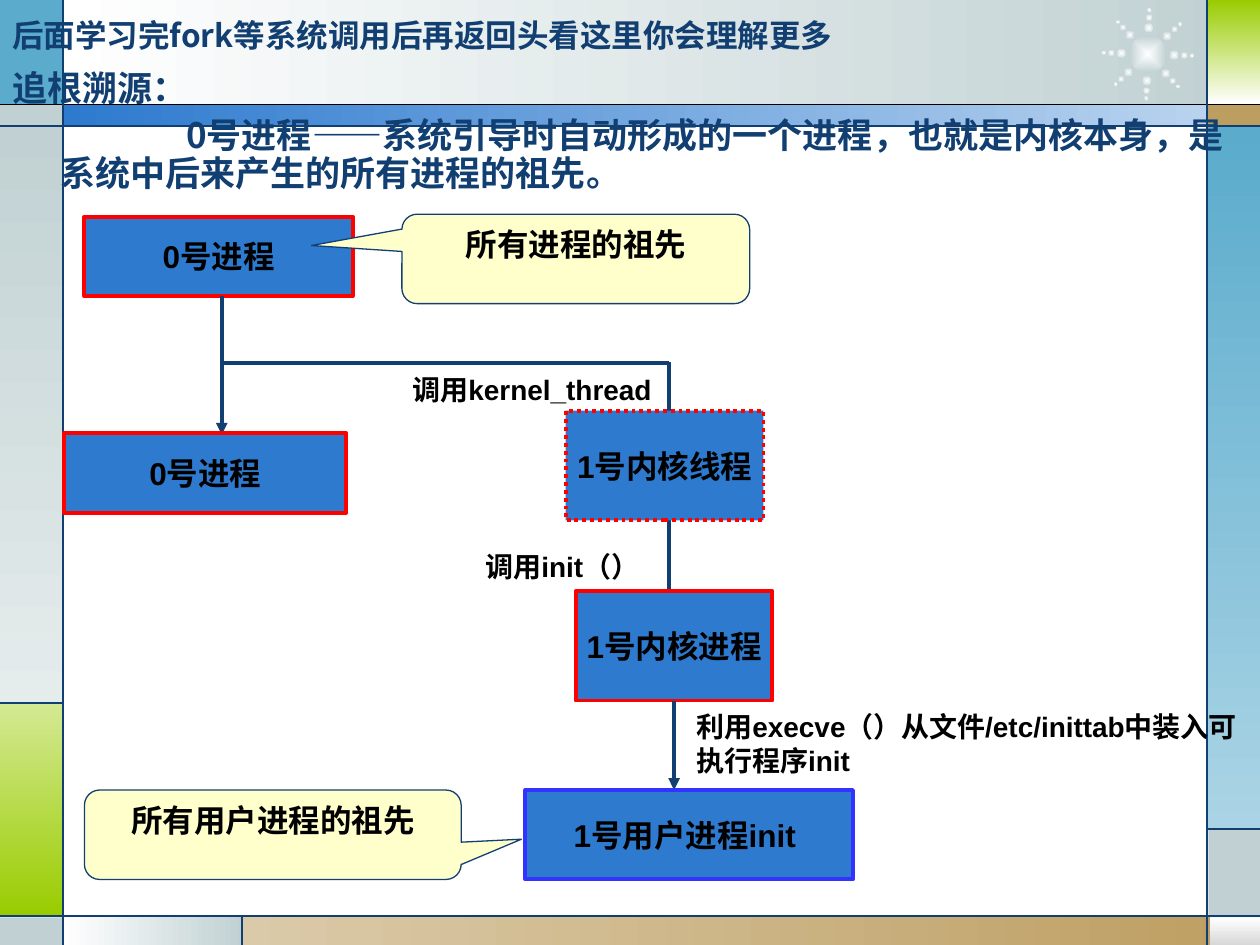
from math import cos, radians, sin

from lxml import etree
from pptx import Presentation
from pptx.dml.color import RGBColor
from pptx.enum.dml import MSO_LINE
from pptx.enum.shapes import MSO_CONNECTOR, MSO_SHAPE
from pptx.enum.text import MSO_ANCHOR, PP_ALIGN
from pptx.oxml.ns import qn
from pptx.util import Inches, Pt

RECT, OVAL = MSO_SHAPE.RECTANGLE, MSO_SHAPE.OVAL
CALLOUT = MSO_SHAPE.ROUNDED_RECTANGULAR_CALLOUT
STRAIGHT, DOTS = MSO_CONNECTOR.STRAIGHT, MSO_LINE.ROUND_DOT
TOP, MIDDLE = MSO_ANCHOR.TOP, MSO_ANCHOR.MIDDLE
LEFT, CENTER, RIGHT = PP_ALIGN.LEFT, PP_ALIGN.CENTER, PP_ALIGN.RIGHT
HAN = "Noto Sans CJK SC"
NAVY, BLUE, RED, GREY = "113F71", "2D7ACF", "FF0000", "C1D1D3"
BLACK, WHITE, CREAM, VIOLET = "000000", "FFFFFF", "FFFFCC", "3333FF"

PANELS = [
    ((0.5, 0, 9.27, 0.84), (WHITE, GREY, 0)),
    ((0, 0, 0.5, 0.84), "5AABCC"),
    ((0, 0.83, 0.5, 0.17), GREY),
    ((0, 1, 0.5, 4.58), (GREY, "E5ECEC", 90)),
    ((0, 5.58, 0.5, 1.69), ("D4E993", "99CC00", 90)),
    ((0, 7.28, 0.5, 0.22), GREY),
    ((0.5, 7.27, 1.43, 0.23), (WHITE, GREY, 0)),
    ((1.92, 7.27, 8.08, 0.23), ("DBCAA9", "BD9E61", 0)),
    ((9.6, 7.28, 0.4, 0.22), (WHITE, "D8D8D8", 90)),
    ((9.59, 6.58, 0.41, 0.7), GREY),
    ((9.58, 1, 0.42, 5.58), ("5AABCC", "AAD4E5", 90)),
    ((9.58, 0.83, 0.42, 0.17), "BD9E61"),
    ((9.59, 0, 0.41, 0.83), ("99CC00", WHITE, 90)),
    ((0.5, 0.83, 9.09, 0.17), (BLUE, "B9D3EF", 0)),
]
RULES = [
    (0, 0.83, 10, 0.83, BLACK), (0, 1, 10, 1, NAVY),
    (0, 7.27, 10, 7.27, NAVY), (0.5, 0, 0.5, 7.5, NAVY),
    (9.58, 0, 9.58, 7.5, NAVY), (0.5, 5.58, 0, 5.58, NAVY),
    (1.92, 7.27, 1.92, 7.5, NAVY), (9.58, 6.58, 10, 6.58, NAVY),
]


def color(code):
    """Turn a hex string into a colour."""
    return RGBColor.from_string(code)


def shade(shape, first, last, angle=None):
    """Fill with two colours, along an angle or out from the centre."""
    shape.fill.gradient()
    for stop, code, pos in zip(shape.fill.gradient_stops, (first, last), (0, 1)):
        stop.color.rgb = color(code)
        stop.position = pos
    if angle is not None:
        shape.fill.gradient_angle = -angle % 360
        return
    grad = shape.element.spPr.find(qn("a:gradFill"))
    grad.remove(grad.find(qn("a:lin")))
    route = etree.SubElement(grad, qn("a:path"))
    route.set("path", "rect")
    center = etree.SubElement(route, qn("a:fillToRect"))
    for side in "ltrb":
        center.set(side, "50000")


def block(slide, kind, at, fill, line=None, width=2.25):
    """Add a filled shape, with an outline if a colour is given."""
    shape = slide.shapes.add_shape(kind, *map(Inches, at))
    shape.shadow.inherit = False
    if isinstance(fill, tuple):
        shade(shape, *fill)
    else:
        shape.fill.solid()
        shape.fill.fore_color.rgb = color(fill)
    if line:
        shape.line.color.rgb = color(line)
        shape.line.width = Pt(width)
    else:
        shape.line.fill.background()
    return shape


def write(para, text, size, code=BLACK, font="Arial"):
    """Add one bold run to a paragraph."""
    run = para.add_run()
    run.text = text
    run.font.size, run.font.bold, run.font.name = Pt(size), True, font
    run.font.color.rgb = color(code)
    etree.SubElement(run.font._element, qn("a:ea")).set("typeface", HAN)


def place(shape, align, anchor, wrap):
    """Set the text layout of a shape and give its first paragraph."""
    frame = shape.text_frame
    frame.word_wrap, frame.vertical_anchor = wrap, anchor
    frame.paragraphs[0].alignment = align
    return frame.paragraphs[0]


def box(slide, at, text, line=RED):
    """Add a process box."""
    shape = block(slide, RECT, at, BLUE, line)
    write(place(shape, CENTER, MIDDLE, False), text, 18)
    return shape


def callout(slide, at, text, tip):
    """Add a speech bubble pointing at tip."""
    shape = block(slide, CALLOUT, at, CREAM, NAVY, 0.75)
    for i, value in enumerate(tip):
        shape.adjustments[i] = value
    write(place(shape, CENTER, TOP, True), text, 18)


def label(slide, at, text, align=LEFT, anchor=TOP, wrap=False, **style):
    """Add a one-paragraph text box."""
    shape = slide.shapes.add_textbox(*map(Inches, at))
    write(place(shape, align, anchor, wrap), text, **{"size": 16, **style})


def line(slide, ends, code=NAVY, width=2.25, arrow=False):
    """Add a straight line, with an arrowhead if asked."""
    link = slide.shapes.add_connector(STRAIGHT, *map(Inches, ends))
    link.line.color.rgb = color(code)
    link.line.width = Pt(width)
    if arrow:
        etree.SubElement(link.line._ln, qn("a:tailEnd")).set("type", "triangle")
    etree.SubElement(link.element.spPr, qn("a:effectLst"))
    return link


def burst(slide, x, y):
    """Add a glowing core with eight arms of three dots."""
    block(slide, OVAL, (x - 0.15, y - 0.15, 0.3, 0.3), (WHITE, GREY))
    for arm in range(8):
        angle = 2 + 45 * arm
        for reach, w, h in ((0.29, 0.05, 0.05), (0.35, 0.04, 0.03), (0.21, 0.07, 0.07)):
            left = x + reach * cos(radians(angle)) - w / 2
            top = y + reach * sin(radians(angle)) - h / 2
            dot = block(slide, OVAL, (left, top, w, h), (WHITE, GREY))
            dot.rotation = (angle - 37) % 360


def intro(slide):
    """Add the heading and the paragraph on process 0."""
    shape = slide.shapes.add_textbox(*map(Inches, (0, 0.52, 10, 2.13)))
    first = place(shape, LEFT, TOP, True)
    second = shape.text_frame.add_paragraph()
    texts = ("追根溯源：", "\t\t0号进程——系统引导时自动形成的一个进程，也就是内核本身，是系统中后来产生的所有进程的祖先。")
    for para, text in zip((first, second), texts):
        para.line_spacing = 0.9
        props = para._p.get_or_add_pPr()
        props.set("marL", str(Inches(0.38)))
        props.set("indent", str(-Inches(0.38)))
        props.set("defTabSz", str(Inches(1)))
        tabs = etree.SubElement(props, qn("a:tabLst"))
        for i in range(8):
            tab = etree.SubElement(tabs, qn("a:tab"))
            tab.set("pos", str(Inches(i)))
            tab.set("algn", "l")
        write(para, text, 20, NAVY, HAN)
    second.space_before = Pt(5)


def frame(slide):
    """Draw the coloured border of the slide."""
    for at, fill in PANELS:
        block(slide, RECT, at, fill)
    burst(slide, 9.11, 0.43)
    for *ends, code in RULES:
        line(slide, ends, code, 0.75)


def flow(slide):
    """Draw the processes, their links and their notes."""
    box(slide, (0.67, 1.72, 2.13, 0.63), "0号进程")
    line(slide, (1.76, 2.35, 1.76, 3.45), arrow=True)
    line(slide, (5.31, 2.87, 5.31, 4.84), arrow=True)
    line(slide, (1.77, 2.88, 5.31, 2.88))
    thread = box(slide, (4.49, 3.26, 1.57, 0.87), "1号内核线程")
    thread.line.dash_style = DOTS
    label(slide, (3.12, 2.91, 2.15, 0.37), "调用kernel_thread", RIGHT)
    label(slide, (3.55, 4.31, 1.62, 0.37), "调用init（）", RIGHT)
    label(slide, (5.43, 5.58, 4.57, 0.64),
          "利用execve（）从文件/etc/inittab中装入可执行程序init", anchor=MIDDLE, wrap=True)
    kernel = box(slide, (4.57, 4.69, 1.56, 0.87), "1号内核进程")
    line(slide, (5.35, 5.56, 5.35, 6.27), arrow=True).begin_connect(kernel, 2)
    box(slide, (4.17, 6.27, 2.6, 0.71), "1号用户进程init ", VIOLET)
    intro(slide)
    callout(slide, (3.19, 1.7, 2.76, 0.71), "所有进程的祖先", (-0.76, -0.15, 0.17))
    callout(slide, (0.67, 6.27, 2.99, 0.71), "所有用户进程的祖先", (0.66, 0.05, 0.17))
    box(slide, (0.51, 3.44, 2.24, 0.63), "0号进程")


def main():
    """Build and save the slide."""
    deck = Presentation()
    deck.slide_width, deck.slide_height = Inches(10), Inches(7.5)
    slide = deck.slides.add_slide(deck.slide_layouts[6])
    frame(slide)
    label(slide, (0, 0, 10, 0.55), "后面学习完fork等系统调用后再返回头看这里你会理解更多",
          anchor=MIDDLE, wrap=True, size=18, code=NAVY, font=HAN)
    flow(slide)
    deck.save("out.pptx")


if __name__ == "__main__":
    main()
